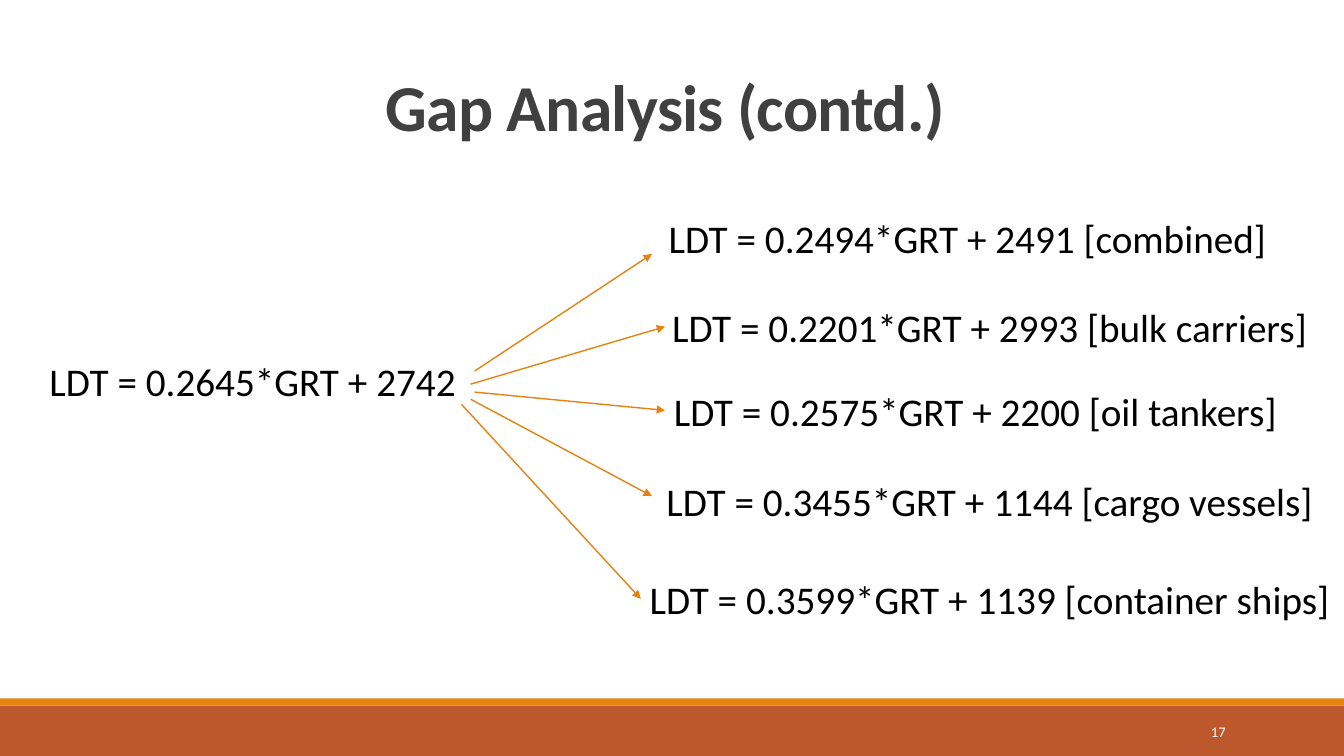
from dataclasses import dataclass

from lxml.etree import SubElement
from pptx import Presentation
from pptx.dml.color import RGBColor
from pptx.enum.shapes import MSO_CONNECTOR, MSO_SHAPE
from pptx.enum.text import MSO_ANCHOR, MSO_AUTO_SIZE, PP_ALIGN
from pptx.oxml.ns import qn
from pptx.util import Cm, Pt


@dataclass(frozen=True)
class Theme:
    font: str = "Calibri"
    title_color: RGBColor = RGBColor(0x40, 0x40, 0x40)
    text_color: RGBColor = RGBColor(0, 0, 0)
    number_color: RGBColor = RGBColor(0xFF, 0xFF, 0xFF)
    accent: RGBColor = RGBColor(0xE4, 0x83, 0x12)
    footer: RGBColor = RGBColor(0xBD, 0x58, 0x2C)
    title_size: float = 46.8
    formula_size: float = 28
    number_size: float = 10.5
    arrow_width: float = 1


THEME = Theme()
SLIDE_WIDTH, SLIDE_HEIGHT = 33.87, 19.05
FORMULA_WIDTH, FORMULA_HEIGHT = 32.39, 1.45

# text, left, top, height
FORMULAS = [
    ("LDT = 0.2645*GRT + 2742", -9.83, 8.89, FORMULA_HEIGHT),
    ("LDT = 0.2494*GRT + 2491 [combined]", 8.18, 5.28, FORMULA_HEIGHT),
    ("LDT = 0.2201*GRT + 2993 [bulk carriers]", 8.74, 7.52, FORMULA_HEIGHT),
    ("LDT = 0.2575*GRT + 2200 [oil tankers]", 8.38, 9.63, FORMULA_HEIGHT),
    ("LDT = 0.3455*GRT + 1144 [cargo vessels]", 8.74, 11.91, 2.82),
    ("LDT = 0.3599*GRT + 1139 [container ships]", 8.74, 14.38, FORMULA_HEIGHT),
]

# start x, start y, end x, end y
ARROWS = [
    (11.96, 9.35, 16.43, 6.4),
    (11.86, 9.68, 16.76, 8.23),
    (11.96, 9.88, 16.76, 10.34),
    (11.86, 10.06, 16.43, 12.5),
    (11.63, 10.19, 16.15, 15.09),
]


def write_text(shape, text, size, color, alignment, anchor=MSO_ANCHOR.TOP):
    """Fill the shape with one line of text and return its run."""
    frame = shape.text_frame
    frame.word_wrap = True
    frame.auto_size = MSO_AUTO_SIZE.NONE
    frame.vertical_anchor = anchor
    paragraph = frame.paragraphs[0]
    paragraph.alignment = alignment
    run = paragraph.add_run()
    run.text = text
    run.font.name = THEME.font
    run.font.size = Pt(size)
    run.font.color.rgb = color
    return run


def add_bar(slide, top, height, color):
    bar = slide.shapes.add_shape(
        MSO_SHAPE.RECTANGLE, 0, Cm(top), Cm(SLIDE_WIDTH), Cm(height))
    bar.shadow.inherit = False
    bar.fill.solid()
    bar.fill.fore_color.rgb = color
    bar.line.fill.background()


def set_title(slide, text):
    title = slide.shapes.title
    title.left, title.top = Cm(2.79), Cm(1.83)
    title.width, title.height = Cm(27.94), Cm(4.04)
    run = write_text(title, text, THEME.title_size, THEME.title_color,
                     PP_ALIGN.CENTER)
    run.font.bold = True
    run.font._element.set("spc", "-50")
    title.text_frame.paragraphs[0].line_spacing = 0.85


def add_formula(slide, text, left, top, height):
    box = slide.shapes.add_textbox(
        Cm(left), Cm(top), Cm(FORMULA_WIDTH), Cm(height))
    write_text(box, text, THEME.formula_size, THEME.text_color,
               PP_ALIGN.CENTER)


def add_arrow(slide, *ends):
    arrow = slide.shapes.add_connector(
        MSO_CONNECTOR.STRAIGHT, *(Cm(value) for value in ends))
    arrow.line.color.rgb = THEME.accent
    arrow.line.width = Pt(THEME.arrow_width)
    SubElement(arrow.line._get_or_add_ln(), qn("a:tailEnd"), type="triangle")
    SubElement(arrow._element.spPr, qn("a:effectLst"))


def add_slide_number(slide, number):
    box = slide.shapes.add_textbox(Cm(27.51), Cm(17.93), Cm(3.63), Cm(1.02))
    write_text(box, number, THEME.number_size, THEME.number_color,
               PP_ALIGN.RIGHT, MSO_ANCHOR.MIDDLE)


def main():
    presentation = Presentation()
    presentation.slide_width = Cm(SLIDE_WIDTH)
    presentation.slide_height = Cm(SLIDE_HEIGHT)
    title_only = presentation.slide_layouts.get_by_name("Title Only")
    slide = presentation.slides.add_slide(title_only)

    add_bar(slide, 17.78, 1.27, THEME.footer)
    add_bar(slide, 17.6, 0.18, THEME.accent)
    set_title(slide, "Gap Analysis (contd.)")
    for formula in FORMULAS:
        add_formula(slide, *formula)
    for arrow in ARROWS:
        add_arrow(slide, *arrow)
    add_slide_number(slide, "17")

    presentation.save("out.pptx")


if __name__ == "__main__":
    main()
